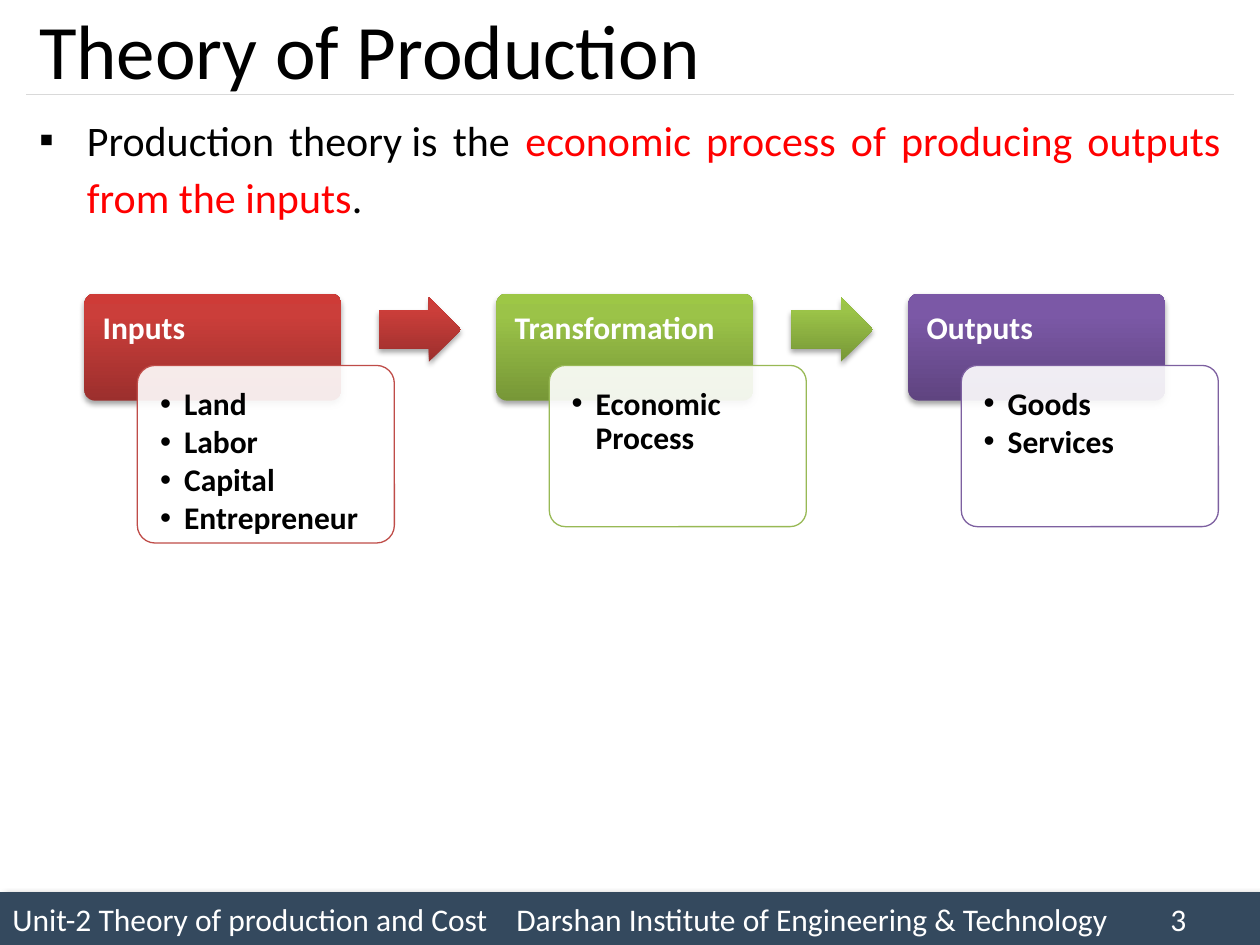
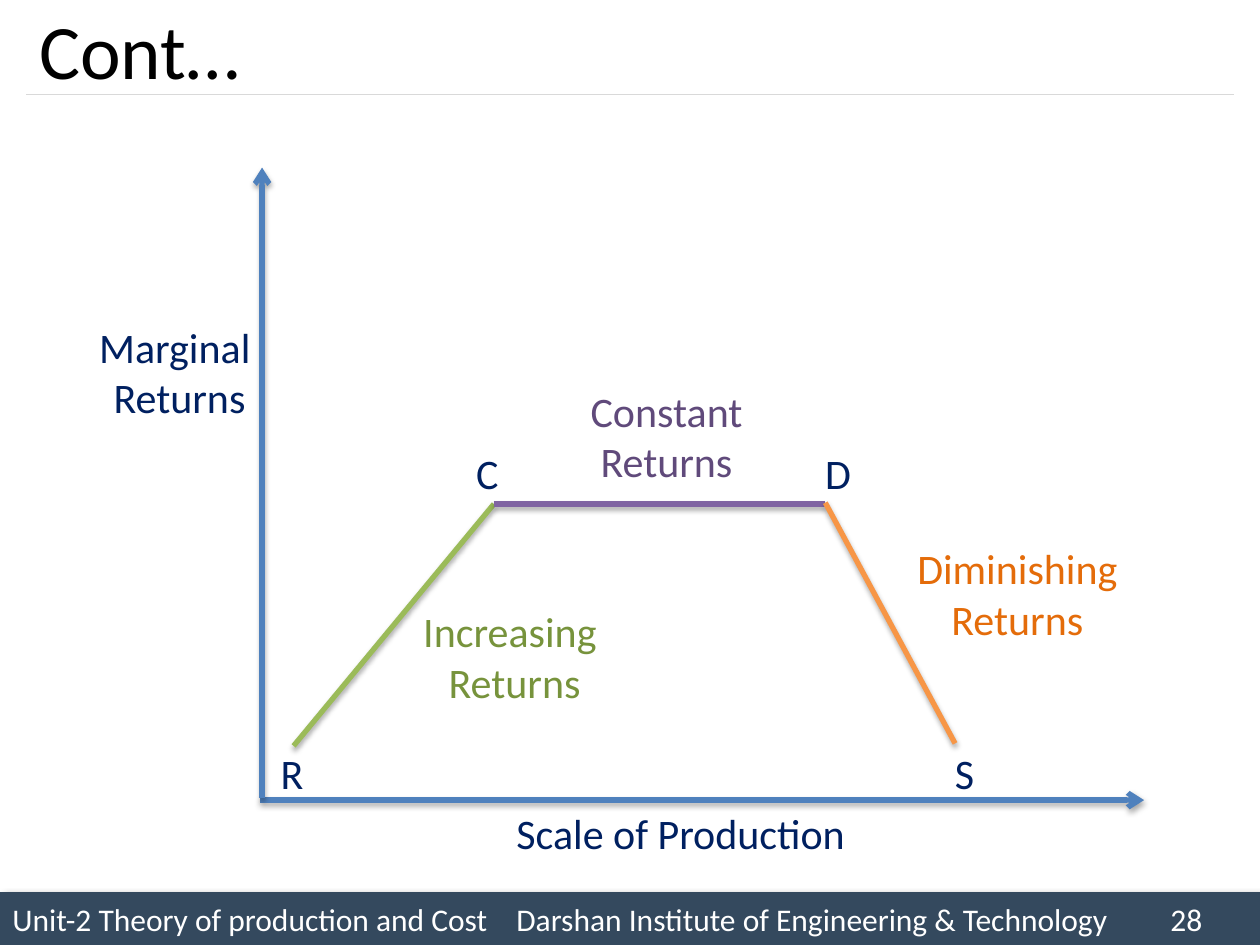
from copy import deepcopy
from lxml.etree import SubElement
from pptx import Presentation
from pptx.dml.color import RGBColor
from pptx.enum.shapes import MSO_CONNECTOR, MSO_SHAPE
from pptx.enum.text import MSO_ANCHOR, MSO_AUTO_SIZE, PP_ALIGN
from pptx.oxml.ns import qn
from pptx.util import Inches, Pt

FONT = "Calibri"
BLACK, WHITE, RED, NAVY = "000000", "FFFFFF", "FF0000", "002060"
SLATE, RULE, BLUE = "34495E", "D9D9D9", "4F81BD"
GREEN, PURPLE, ORANGE = "9BBB59", "8064A2", "F79646"
SOFT = (35, 3.1, 1.8, 90)
UNIT = "Unit-2 Theory of production and Cost"
SCHOOL = "Darshan Institute of Engineering & Technology"


def rgb(code):
    return RGBColor.from_string(code)


def box(*sizes):
    return [Inches(size) for size in sizes]


class Deck:
    def __init__(self):
        self.prs = Presentation()
        self.prs.slide_width, self.prs.slide_height = box(10, 7.5)
        self.slide = None

    def page(self, layout, title, number):
        self.slide = self.prs.slides.add_slide(self.prs.slide_layouts[layout])
        for holder in list(self.slide.placeholders):
            if holder.placeholder_format.idx > 1:
                holder.element.getparent().remove(holder.element)
        self.footer(number)
        self.line((0.21, 0.75), (9.79, 0.75), RULE, 0.75, shade=None)
        head = self.slide.shapes.title
        self.place(head, 0.21, -0.05, 9.58, 0.88)
        head.text_frame.vertical_anchor = MSO_ANCHOR.MIDDLE
        para = head.text_frame.paragraphs[0]
        para.alignment = PP_ALIGN.LEFT
        self.run(para, title, 44)

    def place(self, shape, *at):
        shape.left, shape.top, shape.width, shape.height = box(*at)
        shape.text_frame.auto_size = MSO_AUTO_SIZE.NONE

    def run(self, para, text, size, color=BLACK, bold=False):
        run = para.add_run()
        run.text = text
        run.font.name, run.font.size = FONT, Pt(size)
        run.font.bold = bold
        run.font.color.rgb = rgb(color)

    def bullet(self, para, mark, indent):
        props = para._p.get_or_add_pPr()
        props.set("marL", str(Inches(indent)))
        props.set("indent", str(-Inches(indent)))
        tint = SubElement(props, qn("a:buClr"))
        SubElement(tint, qn("a:srgbClr"), val=BLACK)
        SubElement(props, qn("a:buFont"), typeface="Arial")
        SubElement(props, qn("a:buChar"), char=mark)

    def shadow(self, shape, alpha, blur, dist, angle):
        props = shape.element.spPr
        effect = props.find(qn("a:effectLst"))
        if effect is None:
            effect = SubElement(props, qn("a:effectLst"))
        outer = SubElement(effect, qn("a:outerShdw"), blurRad=str(Pt(blur)),
                           dist=str(Pt(dist)), dir=str(angle * 60000), rotWithShape="0")
        tint = SubElement(outer, qn("a:srgbClr"), val=BLACK)
        SubElement(tint, qn("a:alpha"), val=str(alpha * 1000))

    def shape(self, kind, at, fill=None, grad=None, line=None, shade=None, adjust=()):
        shape = self.slide.shapes.add_shape(kind, *box(*at))
        for index, value in enumerate(adjust):
            shape.adjustments[index] = value
        if grad:
            self.blend(shape, grad)
        else:
            shape.fill.solid()
            shape.fill.fore_color.rgb = rgb(fill)
        if line:
            shape.line.color.rgb = rgb(line)
            shape.line.width = Pt(0.75)
        else:
            shape.line.fill.background()
        shape.shadow.inherit = False
        if shade:
            self.shadow(shape, *shade)
        return shape

    def blend(self, shape, colors):
        shape.fill.gradient()
        shape.fill.gradient_angle = 90
        stops = shape.element.spPr.find(qn("a:gradFill")).find(qn("a:gsLst"))
        stops.append(deepcopy(stops[0]))
        for stop, spot, color in zip(shape.fill.gradient_stops, (0, 0.8, 1), colors):
            stop.position = spot
            stop.color.rgb = rgb(color)

    def inset(self, shape, side, bottom):
        frame = shape.text_frame
        frame.word_wrap = True
        frame.vertical_anchor = MSO_ANCHOR.TOP
        frame.margin_left = frame.margin_right = frame.margin_top = Inches(side)
        frame.margin_bottom = Inches(bottom)

    def items(self, shape, texts, color, mark=None):
        frame = shape.text_frame
        for index, text in enumerate(texts):
            para = frame.add_paragraph() if index else frame.paragraphs[0]
            para.alignment = PP_ALIGN.LEFT
            para.line_spacing = 0.9
            if mark:
                para.space_after = Pt(2.3)
                self.bullet(para, mark, 0.19)
            self.run(para, text, 18, color, True)

    def footer(self, number):
        band = self.shape(MSO_SHAPE.RECTANGLE, (0, 7.08, 10, 0.42), SLATE,
                          shade=(40, 4, 3, 45))
        para = band.text_frame.paragraphs[0]
        para.alignment = PP_ALIGN.LEFT
        tabs = SubElement(para._p.get_or_add_pPr(), qn("a:tabLst"))
        for stop in (4, 9.19):
            SubElement(tabs, qn("a:tab"), pos=str(Inches(stop)), algn="l")
        self.run(para, f"{UNIT}\t{SCHOOL}\t{number}", 18, WHITE)

    def body(self, parts):
        holder = self.slide.placeholders[1]
        self.place(holder, 0.21, 0.8, 9.58, 6.17)
        para = holder.text_frame.paragraphs[0]
        para.alignment = PP_ALIGN.JUSTIFY
        para.line_spacing = 1.14
        para.space_before = Pt(0)
        self.bullet(para, "▪", 0.38)
        for text, color in parts:
            self.run(para, text, 24, color)

    def line(self, start, end, color, width=3, arrow=False, shade=SOFT):
        line = self.slide.shapes.add_connector(MSO_CONNECTOR.STRAIGHT, *box(*start, *end))
        line.line.color.rgb = rgb(color)
        line.line.width = Pt(width)
        if arrow:
            SubElement(line.element.spPr.find(qn("a:ln")), qn("a:tailEnd"), type="arrow")
        if shade:
            self.shadow(line, *shade)
        else:
            SubElement(line.element.spPr, qn("a:effectLst"))

    def label(self, at, texts, color=NAVY):
        frame = self.slide.shapes.add_textbox(*box(*at)).text_frame
        frame.word_wrap = False
        frame.auto_size = MSO_AUTO_SIZE.SHAPE_TO_FIT_TEXT
        for index, text in enumerate(texts):
            para = frame.add_paragraph() if index else frame.paragraphs[0]
            para.alignment = PP_ALIGN.CENTER if len(texts) > 1 else PP_ALIGN.LEFT
            self.run(para, text, 24, color)

    def stage(self, left, name, points, grad, edge, high, arrow):
        head = self.shape(MSO_SHAPE.ROUNDED_RECTANGLE, (left, 2.33, 2.04, 0.85),
                          grad=grad, shade=SOFT, adjust=(0.1,))
        self.inset(head, 0.12, 0.34)
        self.items(head, [name], WHITE)
        card = self.shape(MSO_SHAPE.ROUNDED_RECTANGLE, (left + 0.42, 2.9, 2.04, high),
                          WHITE, line=edge, adjust=(0.1,))
        tint = card.element.spPr.find(qn("a:solidFill"))[0]
        SubElement(tint, qn("a:alpha"), val="90000")
        self.inset(card, 0.14, 0.14)
        self.items(card, points, BLACK, "•")
        if arrow:
            self.shape(MSO_SHAPE.RIGHT_ARROW, (left + 2.34, 2.36, 0.65, 0.51),
                       grad=grad, shade=SOFT, adjust=(0.6, 0.5))


def theory(deck):
    deck.page(1, "Theory of Production", 3)
    deck.body([("Production theory\u00a0is the ", BLACK),
               ("economic process of producing outputs from the inputs", RED),
               (".", BLACK)])
    stages = [
        ("Inputs", ["Land", "Labor", "Capital", "Entrepreneur"],
         ("9C2F2D", "CB3E3A", "CE3B37"), "BF4C48", 1.41),
        ("Transformation", ["Economic Process"],
         ("779737", "9BC348", "9DC746"), "98B955", 1.28),
        ("Outputs", ["Goods", "Services"],
         ("5F4480", "7B58A6", "7C57A8"), "7D60A0", 1.28),
    ]
    for index, stage in enumerate(stages):
        deck.stage(0.67 + 3.27 * index, *stage, arrow=index < len(stages) - 1)


def returns(deck):
    deck.page(5, "Cont…", 28)
    deck.line((2.33, 5.92), (3.92, 4), GREEN)
    deck.line((2.06, 6.35), (9.08, 6.35), BLUE, arrow=True)
    deck.line((2.08, 6.33), (2.08, 1.33), BLUE, arrow=True)
    deck.line((3.92, 4), (6.55, 4), PURPLE)
    deck.line((6.55, 3.99), (7.58, 5.9), ORANGE)
    deck.label((4, 6.36, 2.84, 0.5), ["Scale of Production"])
    deck.label((0.68, 2.5, 1.49, 0.91), ["Marginal ", "Returns"])
    deck.label((4.58, 3.01, 1.42, 0.91), ["Constant", "Returns"], "604A7B")
    deck.label((3.25, 4.76, 1.67, 0.91), ["Increasing ", "Returns"], "77933C")
    deck.label((7.17, 4.26, 1.81, 0.91), ["Diminishing", "Returns"], "E46C0A")
    for name, left, top, wide in (("R", 2.13, 5.88, 0.4), ("C", 3.68, 3.5, 0.38),
                                  ("D", 6.45, 3.5, 0.41), ("S", 7.48, 5.88, 0.36)):
        deck.label((left, top, wide, 0.5), [name])


def main():
    deck = Deck()
    theory(deck)
    returns(deck)
    deck.prs.save("out.pptx")


if __name__ == "__main__":
    main()
